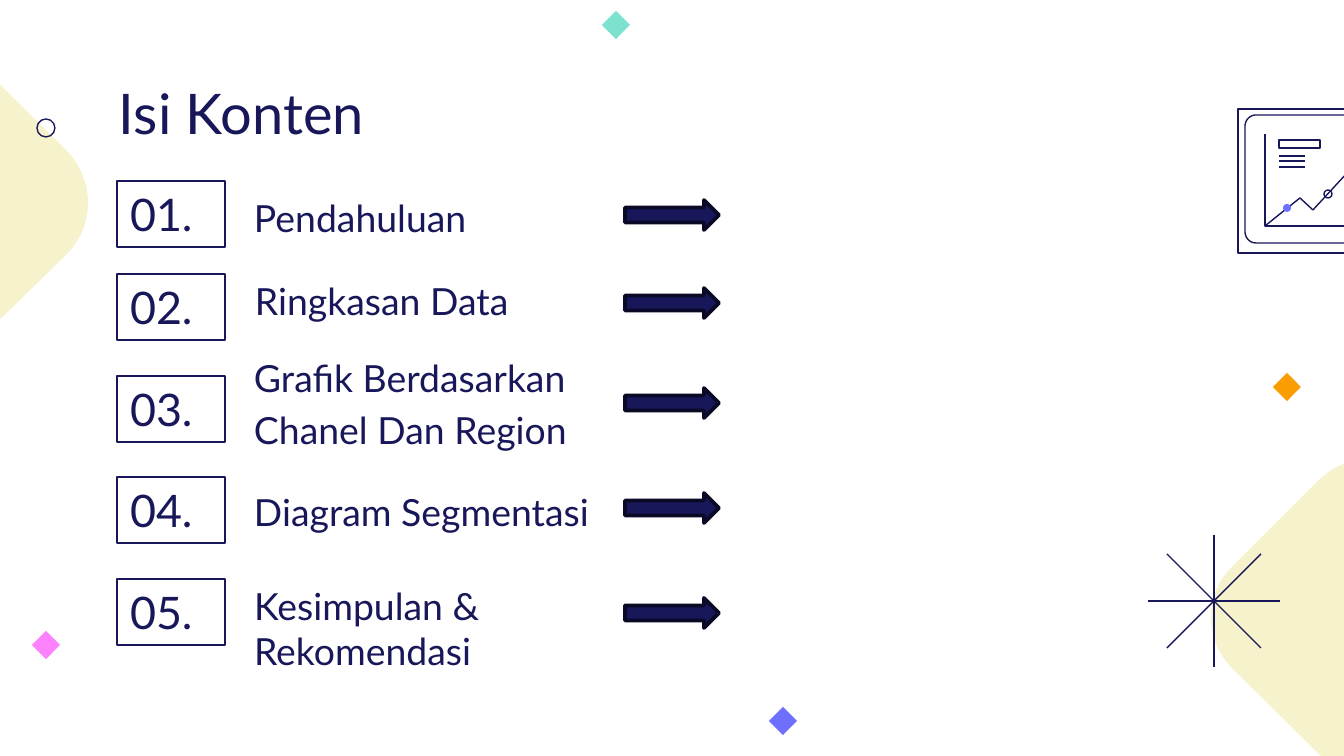
from typing import NamedTuple, Optional

from lxml.etree import SubElement
from pptx import Presentation
from pptx.dml.color import RGBColor
from pptx.enum.shapes import MSO_CONNECTOR, MSO_SHAPE
from pptx.enum.text import MSO_ANCHOR, PP_ALIGN
from pptx.oxml.ns import qn
from pptx.util import Emu, Pt

SCALE = 914400 / 134.4
NAVY = RGBColor(0x17, 0x17, 0x5A)
INK = RGBColor(0x0A, 0x0A, 0x27)
CREAM = RGBColor(0xF6, 0xF2, 0xCC)
PINK = RGBColor(0xFC, 0x81, 0xFD)
BLUE = RGBColor(0x6E, 0x6F, 0xFF)
AMBER = RGBColor(0xFA, 0x9D, 0x02)
MINT = RGBColor(0x7C, 0xE1, 0xCF)
FONT = "Lato"
PAD = 13


class Box(NamedTuple):
    x: int
    y: int
    w: int
    h: int


class Item(NamedTuple):
    text: str
    box_y: int
    arrow_y: int
    area: Box
    anchor: MSO_ANCHOR = MSO_ANCHOR.BOTTOM
    space: float = 1.15


class Gem(NamedTuple):
    x: int
    y: int
    color: RGBColor


ITEMS = [
    Item("Pendahuluan", 181, 200, Box(241, 187, 914, 66)),
    Item("Ringkasan Data", 274, 288, Box(242, 270, 914, 66)),
    Item("Grafik Berdasarkan\nChanel Dan Region", 376, 388, Box(241, 399, 914, 66)),
    Item("Diagram Segmentasi", 477, 493, Box(241, 481, 914, 66)),
    Item("Kesimpulan &\nRekomendasi", 579, 598, Box(241, 570, 829, 136),
         MSO_ANCHOR.TOP, 1.0),
]
GEMS = [Gem(46, 645, PINK), Gem(783, 721, BLUE),
        Gem(1287, 387, AMBER), Gem(616, 25, MINT)]

# Two numbers are a line to a point; six are a cubic curve.
LEFT_BLOB = [
    (-22, 63), (67, 151), (95, 180, 95, 226, 67, 254),
    (-22, 341), (-50, 370, -95, 370, -124, 341),
    (-211, 254), (-240, 226, -240, 180, -211, 151),
    (-124, 63), (-95, 35, -50, 35, -22, 63),
]
RIGHT_BLOB = [
    (1344, 770), (1335, 767, 1327, 762, 1319, 754),
    (1232, 668), (1204, 640, 1204, 594, 1232, 567),
    (1319, 480), (1327, 473, 1335, 467, 1344, 464),
]
SCREEN = [
    (1425, 115), (1425, 243), (1256, 243), (1250, 243, 1245, 238, 1245, 231),
    (1245, 127), (1245, 120, 1250, 115, 1256, 115),
]
AXES = [(1265, 134), (1265, 226), (1414, 226)]
TREND = [(1265, 226), (1300, 198), (1313, 210),
         (1360, 159), (1379, 184), (1414, 151)]


def px(size: float) -> Emu:
    return Emu(round(size * SCALE))


def paint(shape, fill: Optional[RGBColor] = None,
          line: Optional[RGBColor] = None, width: float = 0.75):
    shape.shadow.inherit = False
    if fill is None:
        shape.fill.background()
    else:
        shape.fill.solid()
        shape.fill.fore_color.rgb = fill
    if line is None:
        shape.line.fill.background()
    else:
        shape.line.color.rgb = line
        shape.line.width = Pt(width)
    return shape


def add_form(slide, kind: MSO_SHAPE, box: Box, **look):
    return paint(slide.shapes.add_shape(kind, *map(px, box)), **look)


def add_line(slide, *ends: int) -> None:
    line = slide.shapes.add_connector(MSO_CONNECTOR.STRAIGHT, *map(px, ends))
    line.line.color.rgb = NAVY
    line.line.width = Pt(0.75)
    SubElement(line._element.spPr, qn("a:effectLst"))


def flatten(path: list[tuple], steps: int = 16) -> list[tuple]:
    """Turn each curve of the path into short straight steps."""
    points = []
    for part in path:
        if len(part) == 2:
            points.append(part)
            continue
        knots = [points[-1], part[:2], part[2:4], part[4:]]
        for i in range(1, steps + 1):
            t = i / steps
            mix = ((1 - t) ** 3, 3 * t * (1 - t) ** 2, 3 * t * t * (1 - t), t ** 3)
            points.append(tuple(sum(m * k[a] for m, k in zip(mix, knots))
                                for a in (0, 1)))
    return points


def add_path(slide, path: list[tuple], close: bool = True, **look) -> None:
    points = [(px(x), px(y)) for x, y in flatten(path)]
    form = slide.shapes.build_freeform(*points[0])
    form.add_line_segments(points[1:], close=close)
    paint(form.convert_to_shape(), **look)


def set_text(shape, text: str, size: int, anchor: MSO_ANCHOR,
             space: float = 1.0) -> None:
    frame = shape.text_frame
    frame.text = text
    frame.word_wrap = True
    frame.vertical_anchor = anchor
    frame.margin_left = frame.margin_right = px(PAD)
    frame.margin_top = frame.margin_bottom = px(PAD)
    for para in frame.paragraphs:
        para.alignment = PP_ALIGN.LEFT
        para.line_spacing = space
        for run in para.runs:
            run.font.name = FONT
            run.font.size = Pt(size)
            run.font.color.rgb = NAVY


def add_label(slide, box: Box, *style) -> None:
    set_text(slide.shapes.add_textbox(*map(px, box)), *style)


def add_decor(slide) -> None:
    for blob in (LEFT_BLOB, RIGHT_BLOB):
        add_path(slide, blob, fill=CREAM)
    x, y, arm, slant = 1214, 601, 66, 47
    for dx, dy in ((0, arm), (arm, 0), (slant, -slant), (slant, slant)):
        add_line(slide, x - dx, y - dy, x + dx, y + dy)
    for gem in GEMS:
        form = add_form(slide, MSO_SHAPE.RECTANGLE,
                        Box(gem.x - 10, gem.y - 10, 20, 20), fill=gem.color)
        form.rotation = 315
    add_form(slide, MSO_SHAPE.OVAL, Box(37, 119, 18, 18), line=NAVY)


def add_panel(slide) -> None:
    add_form(slide, MSO_SHAPE.RECTANGLE, Box(1238, 109, 187, 144), line=NAVY)
    add_path(slide, SCREEN, line=NAVY)
    for path in (AXES, TREND):
        add_path(slide, path, close=False, line=NAVY)
    add_form(slide, MSO_SHAPE.OVAL, Box(1283, 204, 8, 8), fill=BLUE)
    add_form(slide, MSO_SHAPE.OVAL, Box(1324, 190, 8, 8), line=NAVY)
    add_form(slide, MSO_SHAPE.RECTANGLE, Box(1279, 140, 41, 8), line=NAVY)
    for y in (156, 161, 167):
        add_line(slide, 1279, y, 1305, y)


def add_item(slide, num: int, item: Item) -> None:
    box = add_form(slide, MSO_SHAPE.RECTANGLE,
                   Box(117, item.box_y, 108, 66), line=NAVY)
    set_text(box, f"{num:02}.", 24, MSO_ANCHOR.MIDDLE)
    add_label(slide, item.area, item.text, 20, item.anchor, item.space)
    add_form(slide, MSO_SHAPE.RIGHT_ARROW, Box(625, item.arrow_y, 94, 30),
             fill=NAVY, line=INK, width=2)


def main() -> None:
    deck = Presentation()
    deck.slide_width, deck.slide_height = px(1344), px(756)
    slide = deck.slides.add_slide(deck.slide_layouts[6])
    add_decor(slide)
    add_label(slide, Box(106, 66, 1133, 84), "Isi Konten", 30, MSO_ANCHOR.TOP)
    add_panel(slide)
    for num, item in enumerate(ITEMS, 1):
        add_item(slide, num, item)
    deck.save("out.pptx")


if __name__ == "__main__":
    main()
